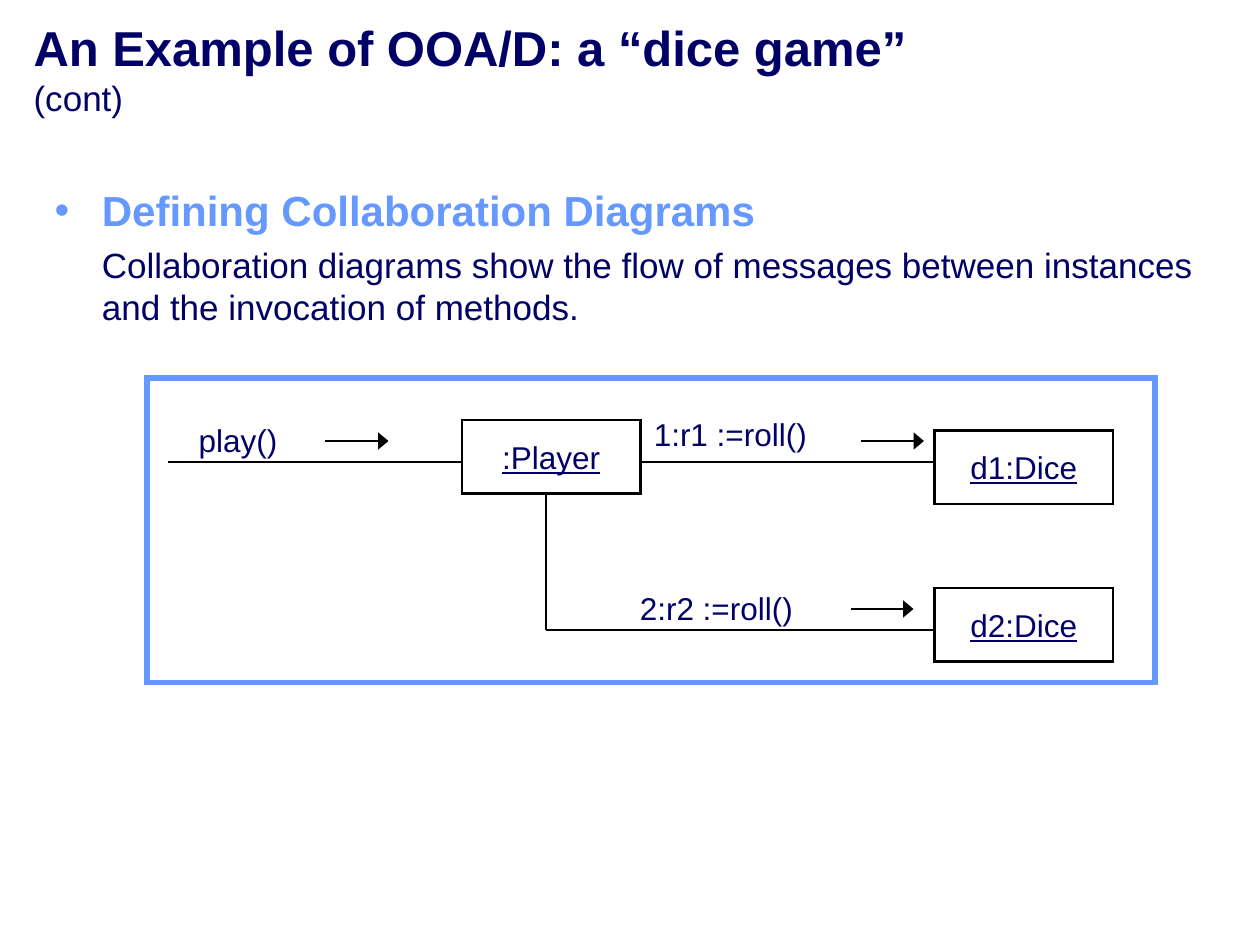
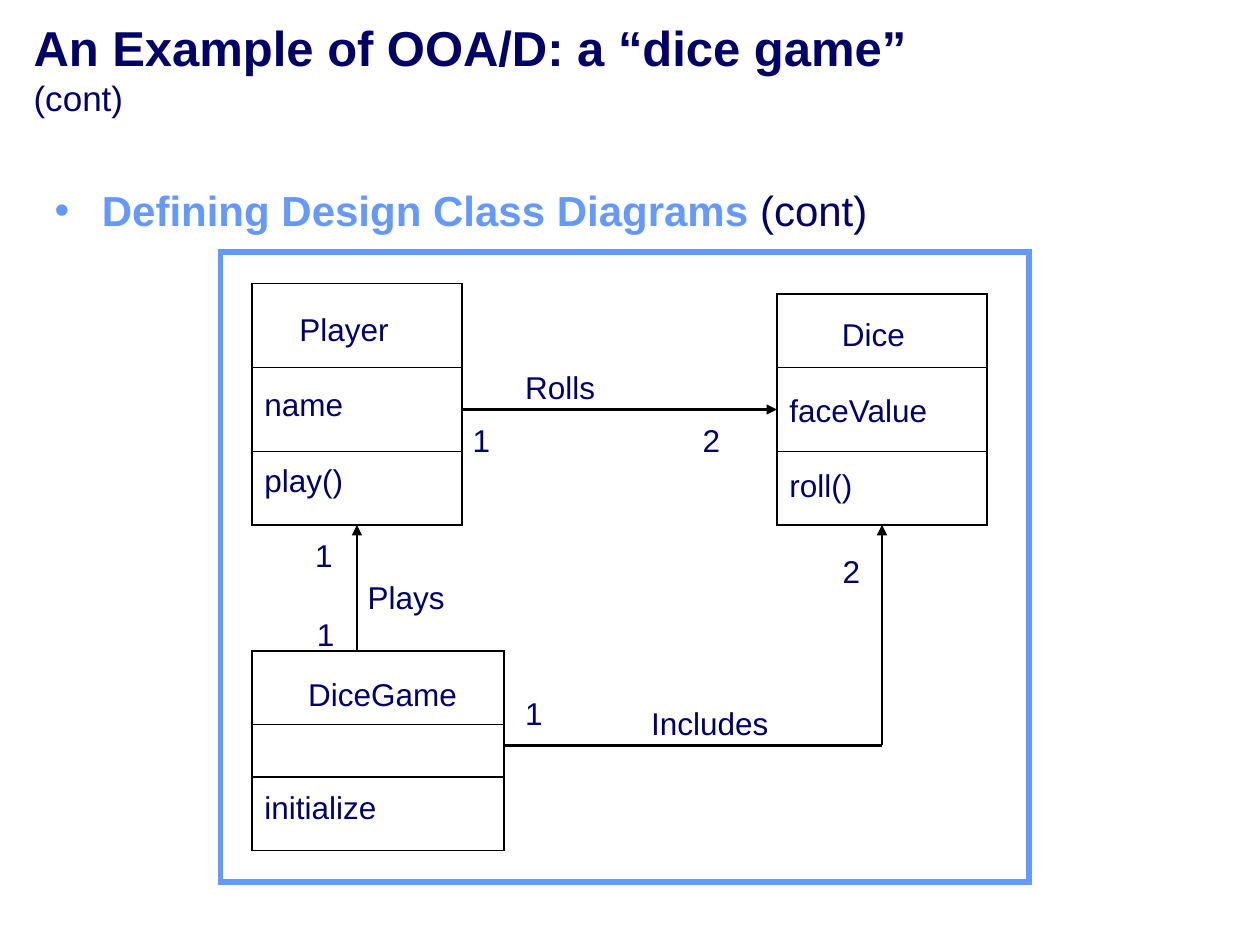
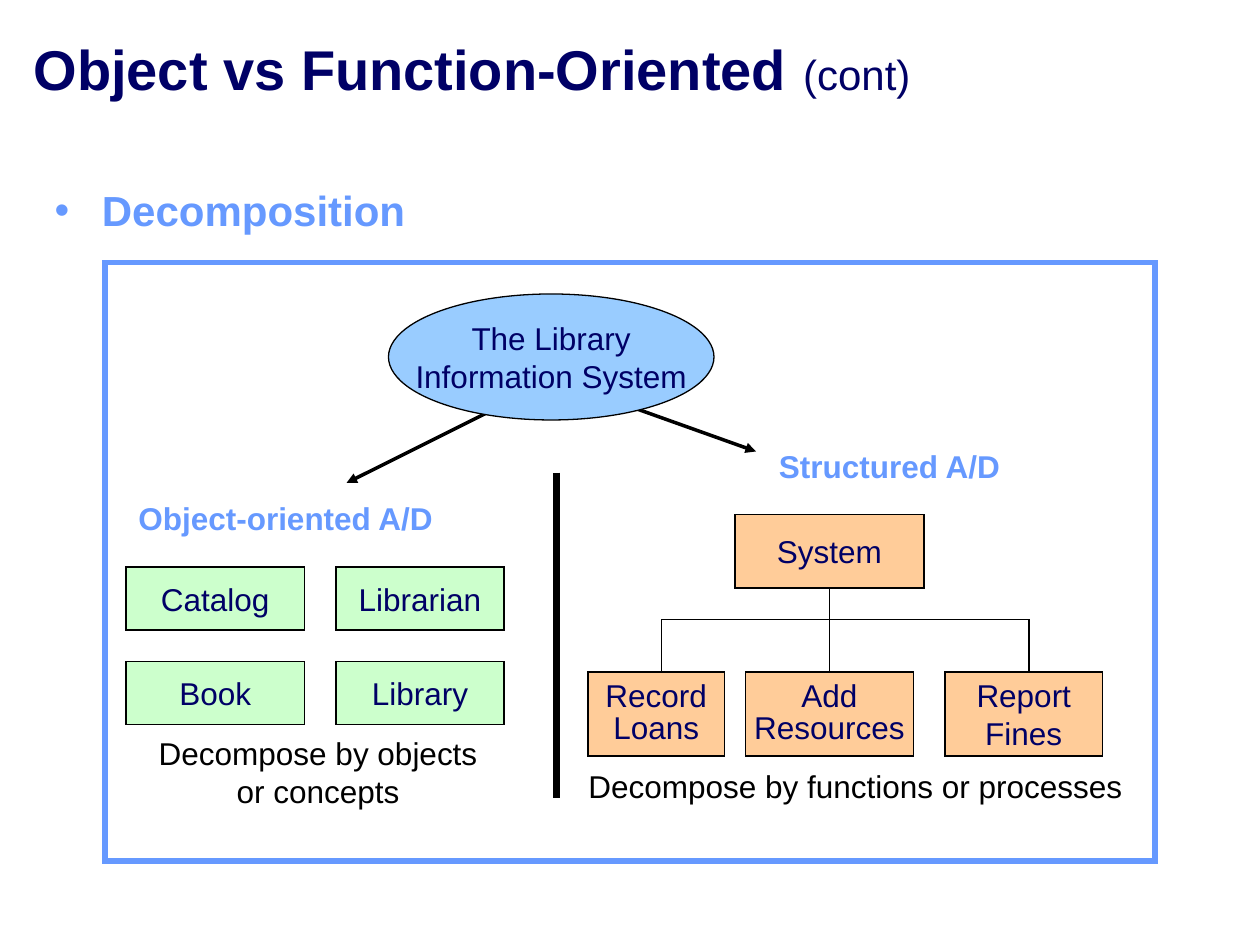
from dataclasses import dataclass
from itertools import product
from lxml.etree import SubElement
from pptx import Presentation
from pptx.dml.color import RGBColor
from pptx.enum.shapes import MSO_CONNECTOR, MSO_SHAPE
from pptx.enum.text import MSO_ANCHOR, MSO_AUTO_SIZE, PP_ALIGN
from pptx.oxml.ns import qn
from pptx.util import Pt


@dataclass(frozen=True)
class Theme:
    font: str = "Arial"
    navy: str = "000066"
    blue: str = "6699FF"
    black: str = "000000"
    white: str = "FFFFFF"
    green: str = "CCFFCC"
    peach: str = "FFCC99"
    sky: str = "99CCFF"
    text: int = 18
    body: int = 20
    head: int = 24
    title: int = 28
    large: int = 32
    hair: float = 0.75
    thin: float = 1
    mid: float = 1.5
    bold: float = 2
    frame: float = 3
    thick: float = 4


T = Theme()
TITLE_BOX = (12, 12, 558, 54)
BODY_BOX = (24, 102, 678, 396)
HANG = 27
LABEL_H = 29
INSET = {"margin_left": Pt(7.2), "margin_right": Pt(7.2),
         "margin_top": Pt(3.6), "margin_bottom": Pt(3.6)}

# Runs are (text, size, colour, bold)
GAME = [("An Example of OOA/D: a “dice game” ", T.title, T.navy, True),
        ("(cont)", T.body, T.navy, False)]

# Boxes and frames are left, top, width, height; labels are text, left, top, width
COLLAB = {
    "title": GAME,
    "body": [
        [("Defining Collaboration Diagrams", T.head, T.blue, True)],
        [("Collaboration diagrams show the flow of messages between instances "
          "and the invocation of methods.", T.body, T.navy, False)],
    ],
    "frame": (84, 216, 576, 174),
    "links": [(540, 360, 312, 360), (312, 276, 312, 360), (96, 264, 558, 264)],
    "nodes": [(":Player", 264, 240), ("d1:Dice", 534, 246), ("d2:Dice", 534, 336)],
    "labels": [("play()", 106.5, 237, 61), ("1:r1 :=roll()", 366.5, 233.5, 104),
               ("2:r2 :=roll()", 358.5, 333, 104)],
    "calls": [(186, 252), (492, 252), (486, 348)],
}
NODE = (102, 42)
CALL_LEN = 36

# Class rows are (text, indent, space before); cuts are divider heights
CLASSES = {
    "title": GAME,
    "body": [[("Defining Design Class Diagrams ", T.head, T.blue, True),
              ("(cont)", T.head, T.navy, False)]],
    "frame": (126, 144, 462, 360),
    "classes": [
        ((144, 162, 120, 138), (210, 258),
         [("Player", 20, 0), ("name", 0, 21.6), ("play()", 0, 21.6)]),
        ((444, 168, 120, 132), (210, 258),
         [("Dice", 30, 0), ("faceValue", 0, 21.6), ("roll()", 0, 21.6)]),
        ((144, 372, 144, 114), (414, 444),
         [("DiceGame", 25, 0), ("initialize", 0, 43.2)]),
    ],
    "links": [(204, 372, 204, 300, True), (264, 234, 444, 234, True),
              (288, 426, 504, 426, False), (504, 426, 504, 300, True)],
    "labels": [("Rolls", 293, 206.5, 56), ("Includes", 365, 399, 83),
               ("Plays", 203, 327, 60)],
    "counts": [("1", 173, 303), ("1", 174, 348), ("1", 263, 237),
               ("2", 394.5, 237), ("1", 293, 393), ("2", 474.5, 312)],
}
COUNT_W = 25

SPLIT = {
    "title": [("Object vs Function-Oriented ", T.large, T.navy, True),
              ("(cont)", T.head, T.navy, False)],
    "body": [[("Decomposition", T.head, T.blue, True)]],
    "frame": (60, 150, 600, 342),
    "root": ("The Library\nInformation System", (222, 168, 186, 72)),
    "arrows": [(282, 234, 198, 276), (348, 228, 432, 258)],
    "wall": (318, 270, 318, 456),
    "objects": ["Catalog", "Librarian", "Book", "Library"],
    "heads": [("Object-oriented A/D", 72, 281.5, 184),
              ("Structured A/D", 438, 252, 142)],
    "notes": [("Decompose by objects\nor concepts", 83, 416, 197.5, 50.5),
              ("Decompose by functions or processes", 328.5, 435, 320.5, LABEL_H)],
    "system": ("System", (420, 294, 108, 42)),
    # text, left, width, stem, line spacing
    "parts": [("Record\nLoans", 336, 78, 378, 0.85),
              ("Add\nResources", 426, 96, 474, 0.85),
              ("Report\nFines", 540, 90, 588, 1)],
}
OBJ_COLS = [(72, 102), (192, 96)]
OBJ_ROWS = [324, 378]
OBJ_H = 36
BUS_Y, PART_Y, PART_H = 354, 384, 48


def put(item, **vals):
    for name, val in vals.items():
        setattr(item, name, val)


def pts(*vals):
    return [Pt(v) for v in vals]


def add_run(para, text, size=T.text, color=T.navy, bold=False, under=False):
    run = para.add_run()
    run.text = text
    put(run.font, name=T.font, size=Pt(size), bold=bold, underline=under)
    run.font.color.rgb = RGBColor.from_string(color)


def write(frame, text, align, space=1, **look):
    for num, line in enumerate(text.split("\n")):
        para = frame.add_paragraph() if num else frame.paragraphs[0]
        put(para, alignment=align, line_spacing=space)
        add_run(para, line, **look)


def add_line(slide, ends, width, arrow=False, head="med"):
    link = slide.shapes.add_connector(MSO_CONNECTOR.STRAIGHT, *pts(*ends))
    link.line.width = Pt(width)
    link.line.color.rgb = RGBColor.from_string(T.black)
    props = link._element.spPr
    if arrow:
        SubElement(props.find(qn("a:ln")), qn("a:tailEnd"), type="triangle", w=head)
    SubElement(props, qn("a:effectLst"))


def add_box(slide, area, fill, width, color=T.black, kind=MSO_SHAPE.RECTANGLE):
    box = slide.shapes.add_shape(kind, *pts(*area))
    box.shadow.inherit = False
    if fill:
        box.fill.solid()
        box.fill.fore_color.rgb = RGBColor.from_string(fill)
    else:
        box.fill.background()
    box.line.width = Pt(width)
    box.line.color.rgb = RGBColor.from_string(color)
    SubElement(box._element.spPr.find(qn("a:ln")), qn("a:miter"), lim="800000")
    put(box.text_frame, word_wrap=False, vertical_anchor=MSO_ANCHOR.MIDDLE, **INSET)
    return box


def add_node(slide, text, area, fill, width=T.hair, kind=MSO_SHAPE.RECTANGLE,
             space=1, **look):
    box = add_box(slide, area, fill, width, kind=kind)
    write(box.text_frame, text, PP_ALIGN.CENTER, space, **look)


def add_label(slide, text, left, top, width, height=LABEL_H,
              align=PP_ALIGN.LEFT, **look):
    box = slide.shapes.add_textbox(*pts(left, top, width, height))
    put(box.text_frame, word_wrap=False,
        auto_size=MSO_AUTO_SIZE.SHAPE_TO_FIT_TEXT, **INSET)
    write(box.text_frame, text, align, **look)


def place(holder, area, anchor):
    put(holder, **dict(zip(("left", "top", "width", "height"), pts(*area))))
    put(holder.text_frame, word_wrap=True, auto_size=MSO_AUTO_SIZE.NONE,
        vertical_anchor=anchor, **INSET)
    return holder.text_frame


def add_bullet(para, shown):
    """Hang the paragraph, with a blue bullet when shown."""
    props = para._p.get_or_add_pPr()
    props.set("marL", str(Pt(HANG)))
    props.set("indent", str(-Pt(HANG) if shown else 0))
    if shown:
        tint = SubElement(props, qn("a:buClr"))
        SubElement(tint, qn("a:srgbClr"), val=T.blue)
        SubElement(props, qn("a:buFont"), typeface=T.font)
        SubElement(props, qn("a:buChar"), char="•")
    else:
        SubElement(props, qn("a:buNone"))


def start(deck, data):
    """Add a slide with its title and body."""
    slide = deck.slides.add_slide(deck.slide_layouts[1])
    title = place(slide.shapes.title, TITLE_BOX, MSO_ANCHOR.MIDDLE).paragraphs[0]
    title.alignment = PP_ALIGN.LEFT
    for run in data["title"]:
        add_run(title, *run)
    body = place(slide.placeholders[1], BODY_BOX, MSO_ANCHOR.TOP)
    for num, runs in enumerate(data["body"]):
        para = body.add_paragraph() if num else body.paragraphs[0]
        add_bullet(para, num == 0)
        para.space_before = Pt(5 if num else 0)
        for run in runs:
            add_run(para, *run)
    return slide


def end(slide, data):
    add_box(slide, data["frame"], None, T.frame, T.blue)


def draw_collab(deck, data):
    slide = start(deck, data)
    for ends in data["links"]:
        add_line(slide, ends, T.thin)
    for text, *spot in data["nodes"]:
        add_node(slide, text, (*spot, *NODE), T.white, T.mid, under=True)
    for label in data["labels"]:
        add_label(slide, *label)
    for x, y in data["calls"]:
        add_line(slide, (x, y, x + CALL_LEN, y), T.mid, True, "lg")
    end(slide, data)


def add_class(slide, area, cuts, rows):
    frame = add_box(slide, area, T.white, T.thin).text_frame
    frame.word_wrap = True
    for num, (text, indent, gap) in enumerate(rows):
        para = frame.add_paragraph() if num else frame.paragraphs[0]
        para._p.get_or_add_pPr().set("marL", str(Pt(indent)))
        put(para, alignment=PP_ALIGN.LEFT, space_before=Pt(gap))
        add_run(para, text)
    left, _, width, _ = area
    for y in cuts:
        add_line(slide, (left, y, left + width, y), T.thin)


def draw_classes(deck, data):
    slide = start(deck, data)
    for item in data["classes"]:
        add_class(slide, *item)
    for *ends, arrow in data["links"]:
        add_line(slide, ends, T.mid, arrow)
    for label in data["labels"]:
        add_label(slide, *label)
    for count in data["counts"]:
        add_label(slide, *count, COUNT_W)
    end(slide, data)


def draw_tree(slide, data):
    text, area = data["system"]
    left, top, width, height = area
    mid = left + width / 2
    stems = [part[3] for part in data["parts"]]
    add_line(slide, (mid, top + height, mid, BUS_Y), T.hair)
    add_line(slide, (stems[0], BUS_Y, stems[-1], BUS_Y), T.hair)
    for x in stems:
        add_line(slide, (x, BUS_Y, x, PART_Y), T.hair)
    add_node(slide, text, area, T.peach)
    for name, x, wide, _, space in data["parts"]:
        add_node(slide, name, (x, PART_Y, wide, PART_H), T.peach, space=space)


def draw_split(deck, data):
    slide = start(deck, data)
    for name, (y, (x, width)) in zip(data["objects"], product(OBJ_ROWS, OBJ_COLS)):
        add_node(slide, name, (x, y, width, OBJ_H), T.green)
    add_line(slide, data["wall"], T.thick)
    draw_tree(slide, data)
    for note in data["notes"]:
        add_label(slide, *note, align=PP_ALIGN.CENTER, color=T.black)
    for ends in data["arrows"]:
        add_line(slide, ends, T.bold, True)
    for head in data["heads"]:
        add_label(slide, *head, color=T.blue, bold=True)
    add_node(slide, *data["root"], T.sky, kind=MSO_SHAPE.OVAL)
    end(slide, data)


def main():
    deck = Presentation()
    put(deck, slide_width=Pt(720), slide_height=Pt(540))
    draw_collab(deck, COLLAB)
    draw_classes(deck, CLASSES)
    draw_split(deck, SPLIT)
    deck.save("out.pptx")


if __name__ == "__main__":
    main()
